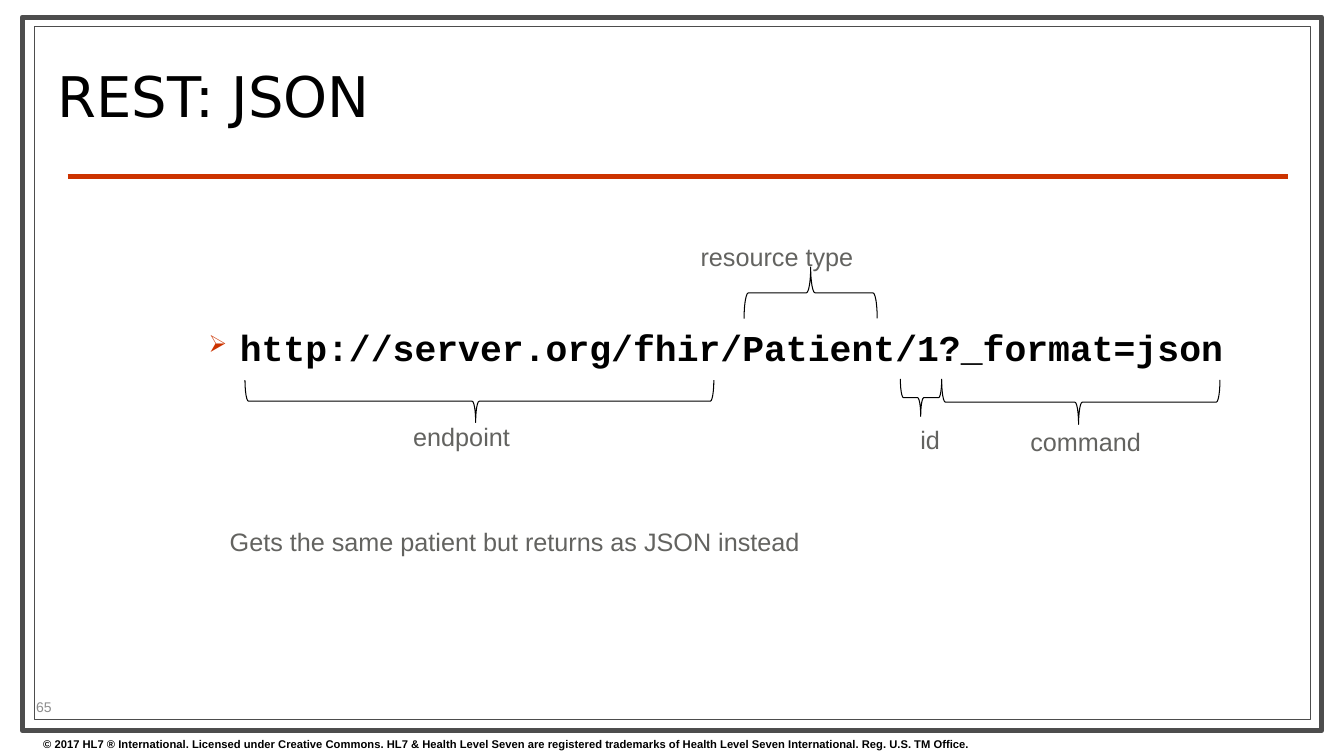
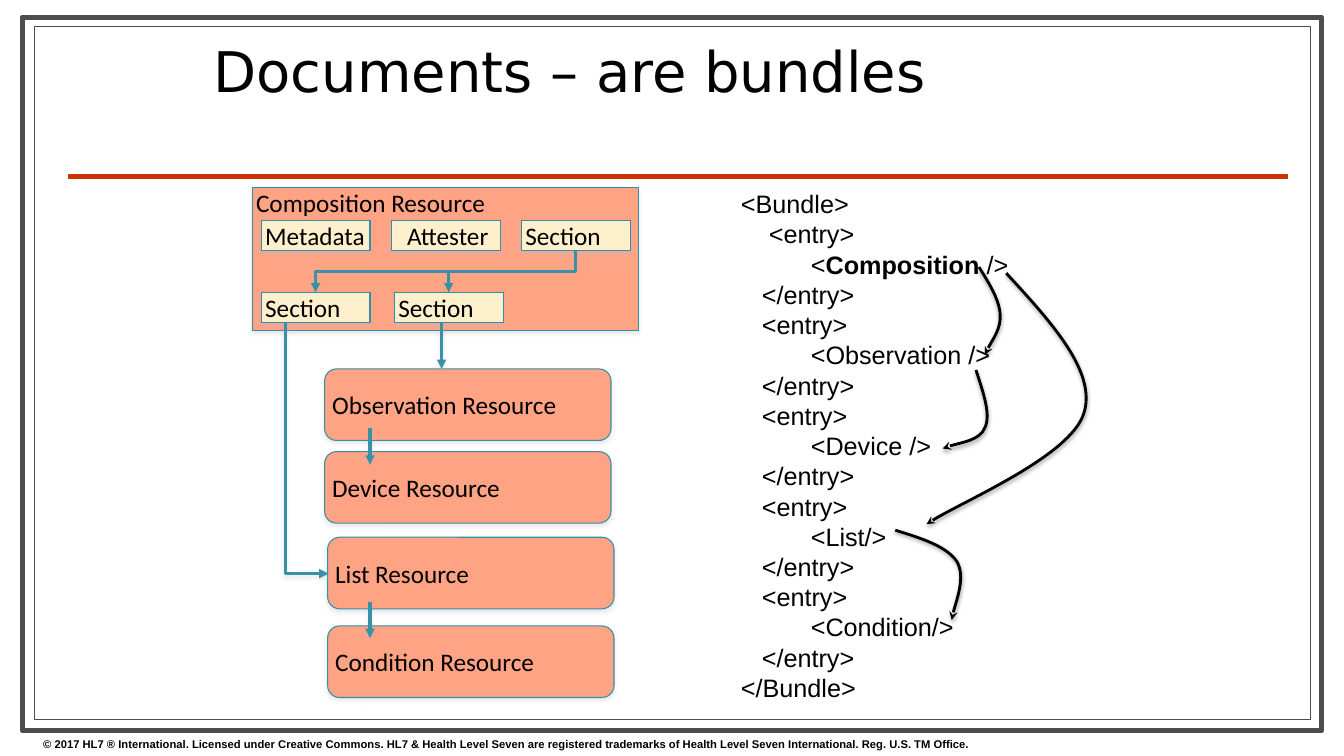
from lxml import etree
from pptx import Presentation
from pptx import util as u
from pptx.dml.color import RGBColor
from pptx.enum import shapes, text
from pptx.oxml.ns import qn

COLORS = {
    "white": "FFFFFF", "black": "000000", "frame": "4D4D4D", "rule": "CC3300",
    "label": "636360", "number": "8C8C8C", "salmon": "FFA385", "cream": "FEF0CD",
    "edge": "338FA5", "arrow": "3891A7", "shade": "C0C0C0",
}
SHAPE = shapes.MSO_SHAPE
ANCHOR = text.MSO_ANCHOR
BOX_SHADOW = ("shade", 35, 1.8)
ARROW_SHADOW = ("shade", 38, 1.6)
CURVE_SHADOW = ("black", 38, 1.6)
COPYRIGHT = ("© 2017 HL7 ® International. Licensed under Creative Commons. HL7 & Health Level "
             "Seven are registered trademarks of Health Level Seven International. "
             "Reg. U.S. TM Office.")
BUNDLE = [
    "<Bundle>",
    "    <entry>", "          <**Composition** />", "   </entry>",
    "   <entry>", "          <Observation />", "   </entry>",
    "   <entry>", "          <Device />", "   </entry>",
    "   <entry>", "          <List/>", "   </entry>",
    "   <entry>", "          <Condition/>", "   </entry>",
    "</Bundle>",
]
REFERENCES = [
    [(246, 83), (256, 99), (266, 115), (267, 130), (268, 144), (254, 163), (252, 170)],
    [(273, 89), (318, 138), (363, 187), (350, 228), (337, 270), (219, 320), (194, 338)],
    [(243, 185), (250, 207), (258, 229), (252, 242), (247, 255), (217, 259), (210, 263)],
    [(163, 344), (189, 352), (214, 360), (224, 375), (233, 390), (219, 427), (219, 433)],
]


def px(length):
    """Turn px, 100 to the inch, into EMU."""
    return u.Emu(round(length * 9144))


def rgb(name):
    """Look up a palette colour."""
    return RGBColor.from_string(COLORS[name])


def write(frame, words, size=18, font="Arial", color="black", bold=False, anchor=ANCHOR.TOP,
          align=None, wrap=True, margins=(10, 5, 10, 5), spacing=None, bullet=None):
    """Write one paragraph per line of words, with ** around bold spans."""
    frame.word_wrap = wrap
    frame.vertical_anchor = anchor
    frame.margin_left, frame.margin_top, frame.margin_right, frame.margin_bottom = map(px, margins)
    for index, line in enumerate([words] if isinstance(words, str) else words):
        para = frame.add_paragraph() if index else frame.paragraphs[0]
        if bullet:
            add_bullet(para, *bullet)
        para.alignment = align
        para.line_spacing = spacing
        for part, piece in enumerate(line.split("**")):
            span = para.add_run()
            span.text = piece
            span.font.size = u.Pt(size)
            span.font.name = font
            span.font.bold = bold or part % 2 == 1
            span.font.color.rgb = rgb(color)


def add_bullet(para, mark, color, percent, indent):
    """Give a paragraph a coloured bullet and a hanging indent."""
    props = para._p.get_or_add_pPr()
    props.set("marL", str(px(indent)))
    props.set("indent", str(-px(indent)))
    tint = etree.SubElement(props, qn("a:buClr"))
    etree.SubElement(tint, qn("a:srgbClr")).set("val", COLORS[color])
    etree.SubElement(props, qn("a:buSzPct")).set("val", str(percent * 1000))
    etree.SubElement(props, qn("a:buChar")).set("char", mark)


def text_box(page, left, top, width, height, words, **style):
    """Add a text box."""
    box = page.shapes.add_textbox(px(left), px(top), px(width), px(height))
    write(box.text_frame, words, **style)
    return box


def finish(item, color, weight, shadow=None, head=None):
    """Set an outline, its arrowhead and the shadow."""
    item.line.color.rgb = rgb(color)
    item.line.width = u.Pt(weight)
    props = item.element.spPr
    if head:
        etree.SubElement(props.find(qn("a:ln")), qn("a:tailEnd")).set("type", head)
    for old in props.findall(qn("a:effectLst")):
        props.remove(old)
    effects = etree.SubElement(props, qn("a:effectLst"))
    if shadow:
        tint, alpha, distance = shadow
        outer = etree.SubElement(effects, qn("a:outerShdw"), blurRad=str(u.Pt(3)),
                                 dist=str(u.Pt(distance)), dir="5400000", rotWithShape="0")
        shade = etree.SubElement(outer, qn("a:srgbClr"), val=COLORS[tint])
        etree.SubElement(shade, qn("a:alpha"), val=str(alpha * 1000))
    return item


def shape(page, kind, left, top, width, height, fill, line, weight=0.75, shadow=None):
    """Add a preset shape."""
    item = page.shapes.add_shape(kind, px(left), px(top), px(width), px(height))
    if fill:
        item.fill.solid()
        item.fill.fore_color.rgb = rgb(fill)
    else:
        item.fill.background()
    return finish(item, line, weight, shadow)


def node(page, kind, left, top, width, height, words, fill="salmon", **style):
    """Add a shadowed box with a caption."""
    item = shape(page, kind, left, top, width, height, fill, "edge", shadow=BOX_SHADOW)
    write(item.text_frame, words, font="Calibri", margins=(4, 0, 0, 0),
          **{"align": text.PP_ALIGN.LEFT, **style})
    return item


def straight(page, start, end, color, weight, **style):
    """Add a straight connector."""
    item = page.shapes.add_connector(shapes.MSO_CONNECTOR.STRAIGHT, *map(px, start + end))
    return finish(item, color, weight, **style)


def elbow(page, source, target):
    """Join the bottom of one box to the top of a box below and to its left."""
    item = page.shapes.add_connector(shapes.MSO_CONNECTOR.ELBOW, 0, 0, 0, 0)
    item.begin_connect(source, 2)
    item.end_connect(target, 0)
    start_x, start_y = source.left + source.width // 2, source.top + source.height
    end_x, end_y = target.left + target.width // 2, target.top
    item.width, item.height = end_y - start_y, start_x - end_x
    item.left = (start_x + end_x - item.width) // 2
    item.top = (start_y + end_y - item.height) // 2
    turn = item.element.spPr.find(qn("a:xfrm"))
    for flip in ("flipH", "flipV"):
        turn.attrib.pop(flip, None)
    turn.set("rot", "5400000")
    return finish(item, "arrow", 2.25, head="triangle")


def outline(page, left, top, points, color, weight, head, shadow, curved=False):
    """Add an open arrow through points, or a chain of cubic curves."""
    corners = [(px(left + x), px(top + y)) for x, y in points]
    builder = page.shapes.build_freeform(*corners[0])
    builder.add_line_segments(corners[1:], close=False)
    item = builder.convert_to_shape()
    item.fill.background()
    if curved:
        track = next(item.element.iter(qn("a:path")))
        steps = track.findall(qn("a:lnTo"))
        for first in range(0, len(steps), 3):
            cubic = etree.SubElement(track, qn("a:cubicBezTo"))
            for step in steps[first:first + 3]:
                cubic.append(step[0])
                track.remove(step)
    return finish(item, color, weight, shadow, head)


def brace(page, left, top, width, height, rotation, middle):
    """Add a brace lying along a line of text."""
    item = shape(page, SHAPE.LEFT_BRACE, left + (width - height) / 2, top + (height - width) / 2,
                 height, width, None, "black")
    item.adjustments[0], item.adjustments[1] = 0.083, middle
    item.rotation = rotation


def new_page(deck, title, left, top, width, height):
    """Add a page with its frame, rule, footer and title."""
    page = deck.slides.add_slide(deck.slide_layouts[6])
    shape(page, SHAPE.RECTANGLE, 22, 17, 1289, 708, "white", "frame", 3.5)
    shape(page, SHAPE.RECTANGLE, 34, 26, 1266, 688, "white", "frame")
    straight(page, (67, 175), (1277, 175), "rule", 3)
    text_box(page, 33, 727, 1300, 23, COPYRIGHT, size=8, bold=True)
    text_box(page, left, top, width, height, title, size=40, font="DejaVu Sans",
             anchor=ANCHOR.MIDDLE, spacing=0.8)
    return page


def address(page, left, top):
    """Place the web address with its braces and labels."""
    text_box(page, left, top, 1100, 51, "http://server.org/fhir/Patient/1?_format=json",
             size=26, font="Courier New", bold=True, bullet=("➢", "rule", 65, 31))
    for x, y, width, height, rotation, middle in [
            (46, 59, 465, 42, 270, 0.492), (541, -53, 132, 51, 90, 0.5),
            (696, 58, 41, 37, 270, 0.492), (737, 59, 276, 44, 270, 0.492)]:
        brace(page, left + x, top + y, width, height, rotation, middle)
    for x, y, width, words in [
            (203, 95, 117, "endpoint"), (488, -84, 173, "resource type"), (706, 98, 40, "id"),
            (815, 100, 131, "command"),
            (21, 199, 605, "Gets the same patient but returns as JSON instead")]:
        text_box(page, left + x, top + y, width, 40, words, color="label", wrap=False)


def composition(page, left, top):
    """Place the composition box with its parts."""
    node(page, SHAPE.RECTANGLE, left, top, 383, 142, "Composition Resource")

    def part(x, y, words, **style):
        """Place one part inside the composition."""
        return node(page, SHAPE.RECTANGLE, left + x, top + y, 108, 30, words, "cream", **style)

    part(9, 33, "Metadata")
    part(138, 33, "Attester", align=text.PP_ALIGN.CENTER)
    parent = part(267, 33, "Section")
    for x in (9, 141):
        elbow(page, parent, part(x, 104, "Section"))


def resource_pair(page, left, top, step, names, arrow):
    """Place two resources with an arrow from the first to the second."""
    for index, name in enumerate(names):
        node(page, SHAPE.ROUNDED_RECTANGLE, left, top + index * step, 284, 71, name,
             anchor=ANCHOR.MIDDLE)
    x, y = left + arrow[0], top + arrow[1]
    straight(page, (x, y), (x, y + 36), "arrow", 2.25, head="triangle", shadow=ARROW_SHADOW)


def bundle(page, left, top):
    """Place the bundle code with its reference arrows."""
    text_box(page, left, top, 288, 525, BUNDLE, wrap=False)
    for points in REFERENCES:
        outline(page, left, top, points, "black", 2, "stealth", CURVE_SHADOW, curved=True)


def rest_page(deck):
    """Build the REST page."""
    page = new_page(deck, "REST: JSON", 47, 36, 955, 129)
    address(page, 197, 318)
    text_box(page, 26, 689, 105, 24, "65", size=10, color="number", anchor=ANCHOR.MIDDLE)


def documents_page(deck):
    """Build the documents page."""
    page = new_page(deck, "Documents – are bundles", 202, 36, 765, 80)
    composition(page, 250, 186)
    resource_pair(page, 322, 366, 82, ("Observation Resource", "Device Resource"), (45, 59))
    resource_pair(page, 325, 533, 88, ("List Resource", "Condition Resource"), (42, 64))
    straight(page, (438, 319), (438, 366), "arrow", 2.25, head="triangle", shadow=ARROW_SHADOW)
    outline(page, 283, 320, [(0, 0), (0, 249), (43, 249)], "arrow", 2.25, "triangle",
            ARROW_SHADOW)
    bundle(page, 725, 182)


def main():
    """Build and save the deck."""
    deck = Presentation()
    deck.slide_width, deck.slide_height = px(1333), px(750)
    rest_page(deck)
    documents_page(deck)
    deck.save("out.pptx")


if __name__ == "__main__":
    main()
